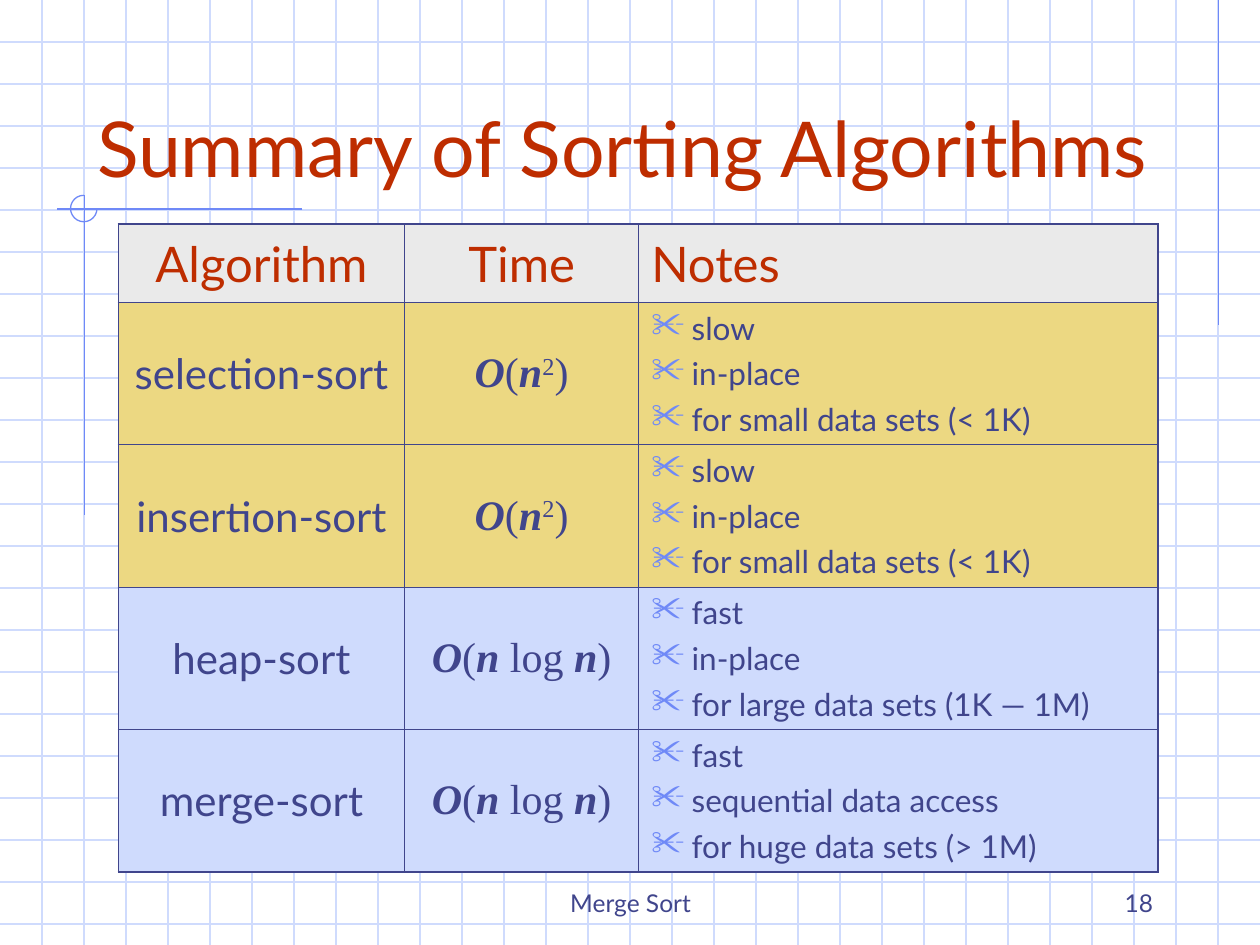
from dataclasses import dataclass

from lxml.etree import SubElement
from pptx import Presentation
from pptx.dml.color import RGBColor
from pptx.enum.shapes import MSO_CONNECTOR, MSO_SHAPE
from pptx.enum.text import MSO_ANCHOR, MSO_AUTO_SIZE, PP_ALIGN
from pptx.oxml.ns import qn
from pptx.util import Inches, Pt

COLORS = {
    "grid": "CFDBFD", "accent": "6F89F7", "ink": "40458C", "heading": "BE2D00",
    "header": "EAEAEA", "slow": "ECD882", "fast": "CFDBFD",
}
SANS, SERIF = "Lato", "Times New Roman"
WIDTH, HEIGHT = 10, 7.5
GRID_STEPS_PER_INCH = 3
THIN, THICK = 0.45, 1.08


@dataclass
class MathRun:
    text: str
    strong: bool = False
    superscript: bool = False


@dataclass
class Algorithm:
    name: str
    time: list[MathRun]
    notes: list[str]
    fill: str


QUADRATIC = [MathRun("O", True), MathRun("("), MathRun("n", True),
             MathRun("2", superscript=True), MathRun(")")]
LINEARITHMIC = [MathRun("O", True), MathRun("("), MathRun("n", True),
                MathRun(" log "), MathRun("n", True), MathRun(")")]
SMALL_DATA_NOTES = ["slow", "in-place", "for small data sets (< 1K)"]
ALGORITHMS = [
    Algorithm("selection-sort", QUADRATIC, SMALL_DATA_NOTES, "slow"),
    Algorithm("insertion-sort", QUADRATIC, SMALL_DATA_NOTES, "slow"),
    Algorithm("heap-sort", LINEARITHMIC,
              ["fast", "in-place", "for large data sets (1K — 1M)"], "fast"),
    Algorithm("merge-sort", LINEARITHMIC,
              ["fast", "sequential data access", "for huge data sets (> 1M)"], "fast"),
]
HEADERS = ["Algorithm", "Time", "Notes"]
COLUMN_WIDTHS = [2.27, 1.86, 4.12]
HEADER_HEIGHT, ROW_HEIGHT = 0.62, 1.13


def rgb(name: str) -> RGBColor:
    return RGBColor.from_string(COLORS[name])


def format_run(run, size: float, color: str, font: str = SANS) -> None:
    run.font.size = Pt(size)
    run.font.name = font
    run.font.color.rgb = rgb(color)


def format_paragraph(paragraph, size: float, color: str, align, before: float = 0) -> None:
    paragraph.alignment = align
    paragraph.space_before = Pt(before)
    for run in paragraph.runs:
        format_run(run, size, color)


def add_line(shapes, x1: float, y1: float, x2: float, y2: float, color: str) -> None:
    line = shapes.add_connector(MSO_CONNECTOR.STRAIGHT, Inches(x1), Inches(y1),
                                Inches(x2), Inches(y2))
    line.line.color.rgb = rgb(color)
    line.line.width = Pt(0.75)
    SubElement(line.element.spPr, qn("a:effectLst"))


def add_background(slide) -> None:
    shapes = slide.shapes.add_group_shape().shapes
    # Graph paper
    for step in range(1, int(HEIGHT * GRID_STEPS_PER_INCH) + 1):
        y = step / GRID_STEPS_PER_INCH
        add_line(shapes, 0, y, WIDTH, y, "grid")
    for step in range(1, WIDTH * GRID_STEPS_PER_INCH):
        x = step / GRID_STEPS_PER_INCH
        add_line(shapes, x, 0, x, HEIGHT, "grid")
    # Accent lines and the three-quarter circle at their crossing
    add_line(shapes, 9.67, 0, 9.67, 2.58, "accent")
    add_line(shapes, 2.4, 1.66, 0.45, 1.66, "accent")
    add_line(shapes, 0.67, 1.55, 0.67, 4.09, "accent")
    arc = shapes.add_shape(MSO_SHAPE.ARC, Inches(0.56), Inches(1.55),
                           Inches(0.21), Inches(0.21))
    arc.adjustments[0] = 0
    arc.adjustments[1] = 162  # 270 degrees in units of 100000/60000
    arc.shadow.inherit = False
    arc.fill.background()
    arc.line.color.rgb = rgb("accent")
    arc.line.width = Pt(0.75)


def add_footer(slide, text: str, left: float, width: float, align):
    footer = slide.shapes.add_textbox(Inches(left), Inches(6.83), Inches(width), Inches(0.5))
    frame = footer.text_frame
    frame.word_wrap = True
    frame.vertical_anchor = MSO_ANCHOR.BOTTOM
    frame.text = text
    format_paragraph(frame.paragraphs[0], 14, "ink", align)
    return footer


def place_title(slide, text: str, below) -> None:
    title = slide.shapes.title
    title.left, title.top = Inches(0.67), Inches(0.33)
    title.width, title.height = Inches(8.83), Inches(1.25)
    frame = title.text_frame
    frame.text = text
    frame.word_wrap = True
    frame.auto_size = MSO_AUTO_SIZE.NONE
    frame.vertical_anchor = MSO_ANCHOR.BOTTOM
    format_paragraph(frame.paragraphs[0], 44, "heading", PP_ALIGN.LEFT)
    below.element.addnext(title.element)


def set_borders(cell, widths: dict[str, float]) -> None:
    properties = cell._tc.get_or_add_tcPr()
    for index, (side, width) in enumerate(widths.items()):
        border = SubElement(properties, qn(f"a:ln{side}"), w=str(int(Pt(width))))
        fill = SubElement(border, qn("a:solidFill"))
        SubElement(fill, qn("a:srgbClr"), val=COLORS["ink"])
        properties.insert(index, border)


def add_bullet(paragraph) -> None:
    properties = paragraph._p.get_or_add_pPr()
    indent = int(Inches(0.32))
    properties.set("marL", str(indent))
    properties.set("indent", str(-indent))
    color = SubElement(properties, qn("a:buClr"))
    SubElement(color, qn("a:srgbClr"), val=COLORS["accent"])
    SubElement(properties, qn("a:buSzPct"), val="110000")
    SubElement(properties, qn("a:buChar"), char="✂")


def fill_time(cell, runs: list[MathRun]) -> None:
    paragraph = cell.text_frame.paragraphs[0]
    for part in runs:
        run = paragraph.add_run()
        run.text = part.text
        format_run(run, 24, "ink", SERIF)
        run.font.bold = run.font.italic = part.strong
        if part.superscript:
            run.font._element.set("baseline", "30000")
    paragraph.alignment = PP_ALIGN.CENTER
    paragraph.space_before = Pt(6)


def fill_notes(cell, notes: list[str]) -> None:
    cell.text_frame.text = "\n".join(notes)
    for paragraph in cell.text_frame.paragraphs:
        format_paragraph(paragraph, 18, "ink", PP_ALIGN.LEFT, 4.5)
        add_bullet(paragraph)


def add_summary_table(slide) -> None:
    heights = [HEADER_HEIGHT] + [ROW_HEIGHT] * len(ALGORITHMS)
    table = slide.shapes.add_table(
        len(heights), len(HEADERS), Inches(0.94), Inches(1.78),
        Inches(sum(COLUMN_WIDTHS)), Inches(sum(heights))).table
    table.first_row = table.horz_banding = False
    for column, width in zip(table.columns, COLUMN_WIDTHS):
        column.width = Inches(width)
    for row, height in zip(table.rows, heights):
        row.height = Inches(height)

    # Text
    for index, header in enumerate(HEADERS):
        cell = table.cell(0, index)
        cell.text_frame.text = header
        align = PP_ALIGN.LEFT if header == "Notes" else PP_ALIGN.CENTER
        format_paragraph(cell.text_frame.paragraphs[0], 28, "heading", align, 7)
    for index, algorithm in enumerate(ALGORITHMS, start=1):
        name_cell, time_cell, notes_cell = table.rows[index].cells
        name_cell.text_frame.text = algorithm.name
        format_paragraph(name_cell.text_frame.paragraphs[0], 24, "ink", PP_ALIGN.CENTER, 6)
        fill_time(time_cell, algorithm.time)
        fill_notes(notes_cell, algorithm.notes)

    # Fills and borders: thick around the table and under the header
    fills = ["header"] + [algorithm.fill for algorithm in ALGORITHMS]
    last_row, last_column = len(heights) - 1, len(HEADERS) - 1
    for r, fill in enumerate(fills):
        for c, cell in enumerate(table.rows[r].cells):
            cell.vertical_anchor = MSO_ANCHOR.MIDDLE
            cell.fill.solid()
            cell.fill.fore_color.rgb = rgb(fill)
            set_borders(cell, {
                "L": THICK if c == 0 else THIN,
                "R": THICK if c == last_column else THIN,
                "T": THICK if r <= 1 else THIN,
                "B": THICK if r in (0, last_row) else THIN,
            })


def main() -> None:
    presentation = Presentation()
    presentation.slide_width, presentation.slide_height = Inches(WIDTH), Inches(HEIGHT)
    slide = presentation.slides.add_slide(presentation.slide_layouts[5])
    add_background(slide)
    add_footer(slide, "Merge Sort", 3.42, 3.17, PP_ALIGN.CENTER)
    number = add_footer(slide, "18", 7.17, 2.08, PP_ALIGN.RIGHT)
    place_title(slide, "Summary of Sorting Algorithms", below=number)
    add_summary_table(slide)
    presentation.save("out.pptx")


if __name__ == "__main__":
    main()
